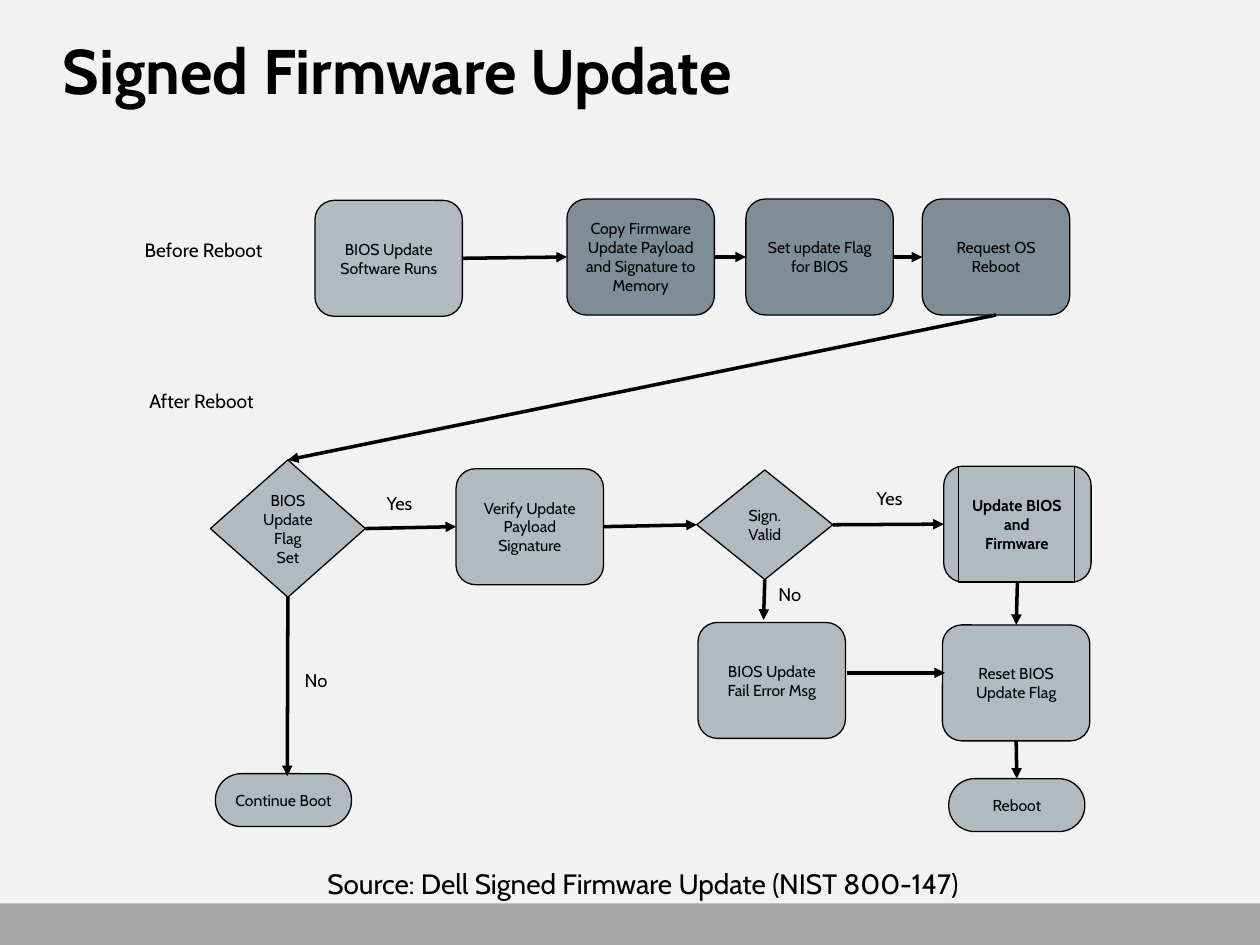
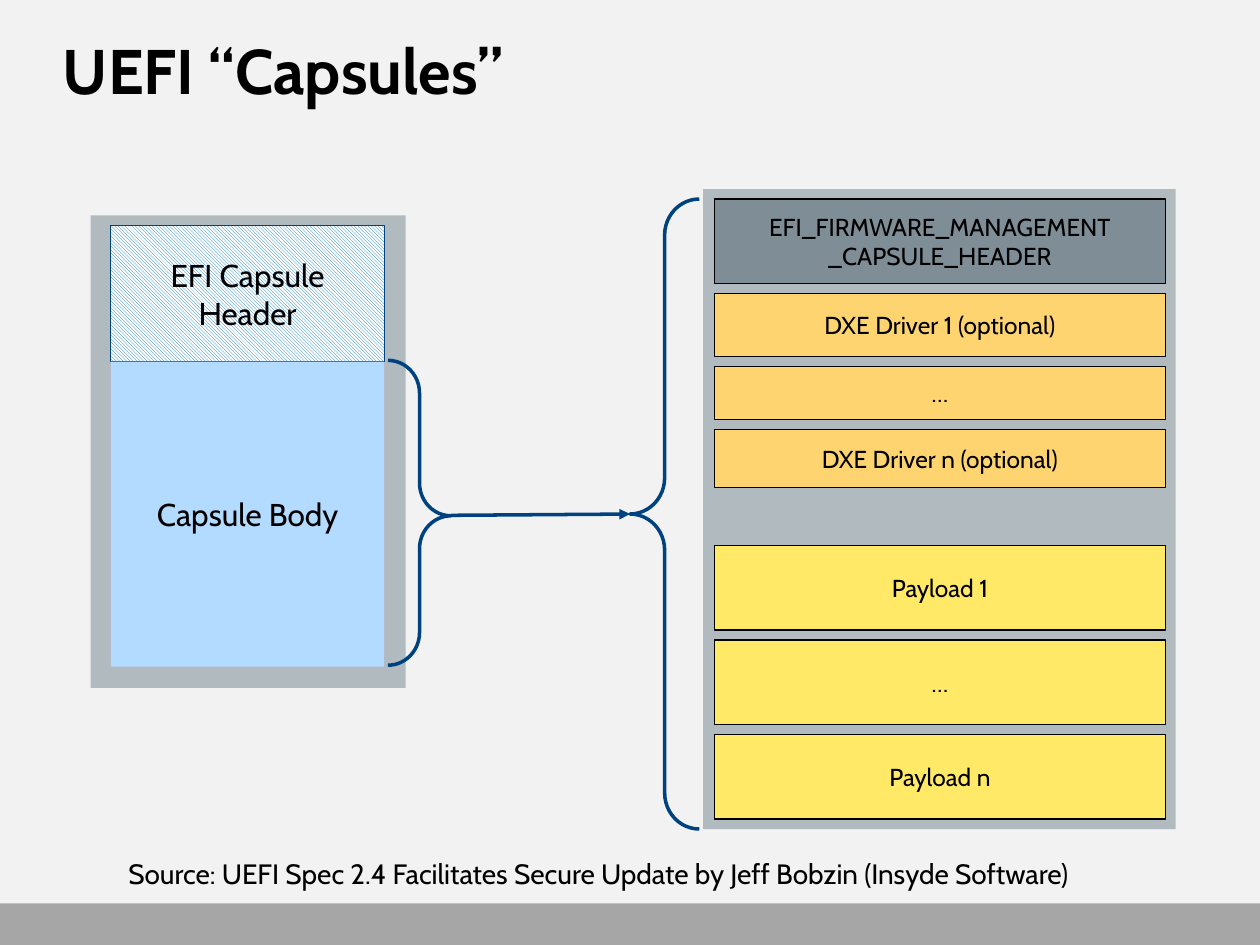
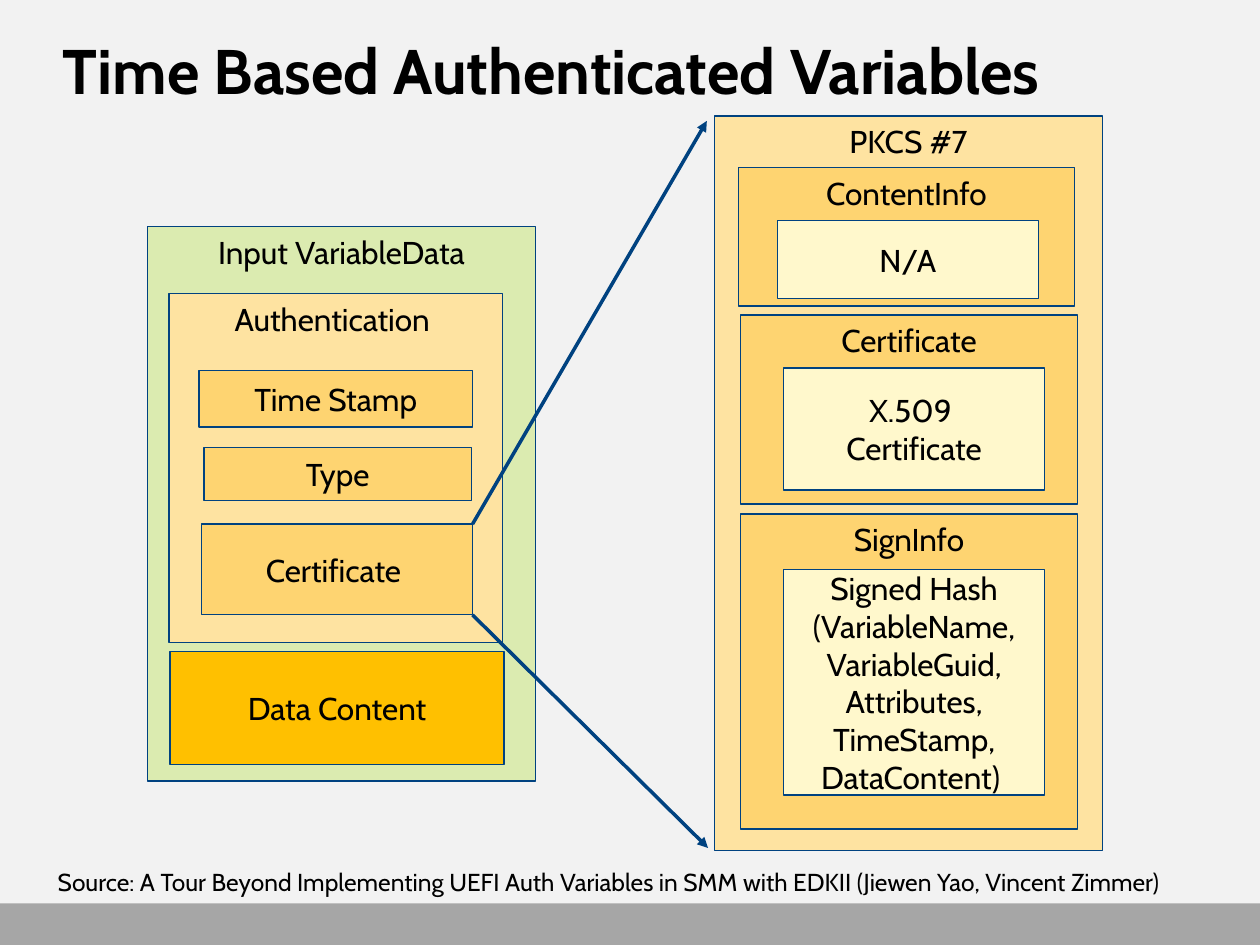
from typing import NamedTuple

from lxml import etree
from pptx import Presentation
from pptx.dml.color import RGBColor
from pptx.enum.dml import MSO_PATTERN
from pptx.enum.shapes import MSO_CONNECTOR, MSO_SHAPE
from pptx.enum.text import MSO_ANCHOR, MSO_AUTO_SIZE, PP_ALIGN
from pptx.oxml.ns import qn
from pptx.util import Inches, Pt

FONT = "Cabin"
BLACK = RGBColor(0x00, 0x00, 0x00)
WHITE = RGBColor(0xFF, 0xFF, 0xFF)
BACKGROUND = RGBColor(0xF2, 0xF2, 0xF2)
BAND = RGBColor(0xA6, 0xA6, 0xA6)
LIGHT_GREY = RGBColor(0xB1, 0xBA, 0xBF)
DARK_GREY = RGBColor(0x7E, 0x8D, 0x96)
NAVY = RGBColor(0x00, 0x42, 0x80)
BLUE = RGBColor(0x00, 0x71, 0xC5)
PALE_BLUE = RGBColor(0xB3, 0xDA, 0xFF)
GREEN = RGBColor(0xDB, 0xEB, 0xB0)
PEACH = RGBColor(0xFE, 0xE3, 0xA1)
ORANGE = RGBColor(0xFE, 0xD4, 0x71)
AMBER = RGBColor(0xFF, 0xC0, 0x00)
YELLOW = RGBColor(0xFF, 0xE9, 0x66)
CREAM = RGBColor(0xFF, 0xF8, 0xCC)

RECT = MSO_SHAPE.RECTANGLE
ROUNDED = MSO_SHAPE.ROUNDED_RECTANGLE
DECISION = MSO_SHAPE.FLOWCHART_DECISION
LEFT_BRACE = MSO_SHAPE.LEFT_BRACE
RIGHT_BRACE = MSO_SHAPE.RIGHT_BRACE
STRAIGHT = MSO_CONNECTOR.STRAIGHT
LIGHT_DIAGONAL = MSO_PATTERN.LIGHT_DOWNWARD_DIAGONAL
ANCHOR_TOP, ANCHOR_MIDDLE = MSO_ANCHOR.TOP, MSO_ANCHOR.MIDDLE
ALIGN_LEFT, ALIGN_CENTER = PP_ALIGN.LEFT, PP_ALIGN.CENTER
GROW = MSO_AUTO_SIZE.SHAPE_TO_FIT_TEXT
TOP, LEFT, BOTTOM, RIGHT = range(4)

TITLE_FRAME = dict(word_wrap=True, margin_left=0, margin_top=0,
                   margin_right=0, margin_bottom=0)
THIN, THICK = Pt(0.75), Pt(2)


class Box(NamedTuple):
    left: float
    top: float
    width: float
    height: float

    def inner(self, dx, dy, width, height):
        return Box(self.left + dx, self.top + dy, width, height)

    def point(self, dx, dy):
        return self.left + dx, self.top + dy

    def lengths(self):
        return [Inches(value) for value in self]


def set_all(target, values):
    for name, value in values.items():
        setattr(target, name, value)


def write(frame, text, size, align, bold=False):
    frame.text = text
    for paragraph in frame.paragraphs:
        paragraph.alignment = align
        set_all(paragraph.font, dict(name=FONT, size=Pt(size), bold=bold))
        paragraph.font.color.rgb = BLACK


def block(slide, box, text="", fill=None, line=None, size=18, bold=False,
          kind=RECT, anchor=ANCHOR_MIDDLE, weight=THIN):
    """Draw a preset shape; without a fill or line colour that part is empty."""
    shape = slide.shapes.add_shape(kind, *box.lengths())
    shape.shadow.inherit = False
    if fill is None:
        shape.fill.background()
    else:
        shape.fill.solid()
        shape.fill.fore_color.rgb = fill
    if line is None:
        shape.line.fill.background()
    else:
        shape.line.color.rgb = line
        shape.line.width = weight
    if text:
        set_all(shape.text_frame, dict(word_wrap=True, vertical_anchor=anchor))
        write(shape.text_frame, text, size, ALIGN_CENTER, bold)
    return shape


def label(slide, box, text, size, align=ALIGN_LEFT, wrap=True):
    frame = slide.shapes.add_textbox(*box.lengths()).text_frame
    set_all(frame, dict(word_wrap=wrap, auto_size=GROW))
    write(frame, text, size, align)


def arrow(slide, start, end, color):
    """Join two ends, each an (x, y) point or a (shape, side) pair."""
    start_joined, end_joined = (hasattr(e[0], "shape_type") for e in (start, end))
    x1, y1 = (0, 0) if start_joined else start
    x2, y2 = (0, 0) if end_joined else end
    connector = slide.shapes.add_connector(
        STRAIGHT, *map(Inches, (x1, y1, x2, y2)))
    if start_joined:
        connector.begin_connect(*start)
    if end_joined:
        connector.end_connect(*end)
    connector.line.color.rgb = color
    connector.line.width = THICK
    properties = connector.element.spPr
    etree.SubElement(properties.find(qn("a:ln")), qn("a:tailEnd"), type="triangle")
    etree.SubElement(properties, qn("a:effectLst"))


def new_slide(deck, title):
    """Add a slide with the shared background, bottom band and title."""
    slide = deck.slides.add_slide(deck.slide_layouts[6])
    slide.background.fill.solid()
    slide.background.fill.fore_color.rgb = BACKGROUND
    block(slide, Box(0, 7.17, 10, 0.33), fill=BAND)
    frame = slide.shapes.add_textbox(*Box(0.5, 0.25, 9, 1.08).lengths()).text_frame
    set_all(frame, TITLE_FRAME)
    write(frame, title, 36, ALIGN_LEFT, bold=True)
    return slide


def update_flow(slide, box):
    step, end = (1.17, 0.92), (1.08, 0.42)

    def node(text, dx, dy, size=step, fill=LIGHT_GREY, kind=ROUNDED, bold=False):
        return block(slide, box.inner(dx, dy, *size), text, fill, BLACK, 9,
                     bold, kind)

    run = node("BIOS Update Software Runs", 1.62, 0.01)
    copy_payload, set_flag, request = [
        node(text, dx, 0, fill=DARK_GREY) for text, dx in (
            ("Copy Firmware Update Payload and Signature to Memory", 3.62),
            ("Set update Flag for BIOS", 5.04),
            ("Request OS Reboot", 6.44))]
    verify = node("Verify Update Payload Signature", 2.74, 2.14)
    node("BIOS Update Fail Error Msg", 4.66, 3.36)
    reset = node("Reset BIOS Update Flag", 6.6, 3.38)
    continue_boot = node("Continue Boot", 0.83, 4.56, end)
    reboot = node("Reboot", 6.65, 4.6, end)
    for terminal in (continue_boot, reboot):
        terminal.adjustments[0] = 0.49
    update = node("", 6.61, 2.12)
    node("Update BIOS and Firmware", 6.73, 2.12, (0.92, 0.92), kind=RECT, bold=True)
    valid = node("Sign. Valid", 4.65, 2.15, (1.08, 0.87), kind=DECISION)
    flag_set = node("BIOS Update Flag Set", 0.79, 2.07, (1.23, 1.09), kind=DECISION)

    for start, finish in (
            ((run, RIGHT), (copy_payload, LEFT)),
            ((copy_payload, RIGHT), (set_flag, LEFT)),
            ((set_flag, RIGHT), (request, LEFT)),
            ((request, BOTTOM), (flag_set, TOP)),
            ((flag_set, RIGHT), (verify, LEFT)),
            ((flag_set, BOTTOM), box.point(1.4, 4.58)),
            ((verify, RIGHT), (valid, LEFT)),
            ((valid, RIGHT), (update, LEFT)),
            ((valid, BOTTOM), box.point(5.18, 3.34)),
            (box.point(5.84, 3.76), box.point(6.62, 3.76)),
            ((update, BOTTOM), (reset, TOP)),
            ((reset, BOTTOM), (reboot, TOP))):
        arrow(slide, start, finish, BLACK)

    label(slide, box.inner(0.17, 0.26, 1.44, 0.29), "Before Reboot", 11)
    label(slide, box.inner(0, 1.46, 1.44, 0.29), "After Reboot", 11, ALIGN_CENTER)
    for answer, dx, dy, width in (("Yes", 2.09, 2.28, 0.46), ("Yes", 5.98, 2.24, 0.46),
                                  ("No", 1.44, 3.68, 0.39), ("No", 5.2, 3, 0.39)):
        label(slide, box.inner(dx, dy, width, 0.28), answer, 10.5, wrap=False)


def capsule(slide, box):
    block(slide, box, fill=LIGHT_GREY)
    header = block(slide, box.inner(0.16, 0.08, 2.17, 1.08),
                   "EFI Capsule Header", WHITE, NAVY)
    header.fill.patterned()
    header.fill.pattern = LIGHT_DIAGONAL
    header.fill.fore_color.rgb = BLUE
    header.fill.back_color.rgb = WHITE
    block(slide, box.inner(0.16, 1.16, 2.17, 2.42), "Capsule Body", PALE_BLUE)


def capsule_content(slide, box):
    """Draw the stacks of drivers and payloads inside a grey frame."""
    block(slide, box, fill=LIGHT_GREY)
    gap = 0.08
    driver_stack = (
        ("EFI_FIRMWARE_MANAGEMENT\n_CAPSULE_HEADER", DARK_GREY, 0.67),
        ("DXE Driver 1 (optional)", ORANGE, 0.5),
        ("…", ORANGE, 0.42),
        ("DXE Driver n (optional)", ORANGE, 0.46))
    payload_stack = (
        ("Payload 1", YELLOW, 0.67), ("…", YELLOW, 0.67), ("Payload n", YELLOW, 0.67))
    for dy, stack in ((gap, driver_stack), (2.83, payload_stack)):
        for text, fill, height in stack:
            block(slide, box.inner(0.09, dy, 3.58, height), text, fill, BLACK, 14)
            dy += height + gap


def brace(slide, box, kind, middle):
    shape = block(slide, box, line=NAVY, kind=kind, weight=THICK)
    shape.adjustments[0] = 0.52
    shape.adjustments[1] = middle


def nested_blocks(slide, box, title, fill, parts):
    """Draw a titled panel and its parts: text, fill, anchor and inner box."""
    block(slide, box, title, fill, NAVY, anchor=ANCHOR_TOP)
    return [block(slide, box.inner(*place), text, part_fill, NAVY, anchor=anchor)
            for text, part_fill, anchor, place in parts]


def variable_data(slide, box):
    nested_blocks(slide, box, "Input VariableData", GREEN, (
        ("Authentication ", PEACH, ANCHOR_TOP, (0.17, 0.53, 2.65, 2.77)),
        ("Time Stamp", ORANGE, ANCHOR_MIDDLE, (0.41, 1.14, 2.17, 0.45)),
        ("Type", ORANGE, ANCHOR_MIDDLE, (0.45, 1.75, 2.12, 0.42)),
        ("Certificate ", ORANGE, ANCHOR_MIDDLE, (0.43, 2.36, 2.15, 0.72)),
        ("Data Content", AMBER, ANCHOR_MIDDLE, (0.18, 3.37, 2.65, 0.9))))


def pkcs_structure(slide, box):
    signed_hash = ("Signed Hash\n(VariableName, VariableGuid, Attributes, "
                   "TimeStamp, DataContent) ")
    nested_blocks(slide, box, "PKCS #7", PEACH, (
        ("ContentInfo", ORANGE, ANCHOR_TOP, (0.19, 0.41, 2.67, 1.1)),
        ("N/A", CREAM, ANCHOR_MIDDLE, (0.5, 0.83, 2.07, 0.62)),
        ("Certificate", ORANGE, ANCHOR_TOP, (0.21, 1.58, 2.67, 1.5)),
        ("X.509 \nCertificate", CREAM, ANCHOR_MIDDLE, (0.55, 2, 2.07, 0.97)),
        ("SignInfo", ORANGE, ANCHOR_TOP, (0.21, 3.16, 2.67, 2.5)),
        (signed_hash, CREAM, ANCHOR_MIDDLE, (0.55, 3.6, 2.07, 1.79))))


def main():
    deck = Presentation()
    deck.slide_width, deck.slide_height = Inches(10), Inches(7.5)

    firmware = new_slide(deck, "Signed Firmware Update")
    label(firmware, Box(2.5, 6.83, 5.57, 0.37),
          "Source: Dell Signed Firmware Update (NIST 800-147)", 16, wrap=False)
    update_flow(firmware, Box(0.88, 1.58, 7.78, 5.02))

    capsules = new_slide(deck, "UEFI “Capsules”")
    label(capsules, Box(0.92, 6.75, 8.83, 0.37),
          "Source: UEFI Spec 2.4 Facilitates Secure Update by Jeff Bobzin "
          "(Insyde Software)", 16)
    capsule(capsules, Box(0.72, 1.71, 2.5, 3.75))
    capsule_content(capsules, Box(5.58, 1.5, 3.75, 5.08))
    brace(capsules, Box(3.08, 2.86, 0.5, 2.42), RIGHT_BRACE, 0.51)
    brace(capsules, Box(5, 1.58, 0.55, 5), LEFT_BRACE, 0.5)
    arrow(capsules, (3.58, 4.09), (5, 4.08), NAVY)

    variables = new_slide(deck, "Time Based Authenticated Variables")
    label(variables, Box(0.36, 6.83, 9.64, 0.34),
          "Source: A Tour Beyond Implementing UEFI Auth Variables in SMM with "
          "EDKII (Jiewen Yao, Vincent Zimmer)", 14)
    variable_data(variables, Box(1.17, 1.8, 3.08, 4.4))
    pkcs_structure(variables, Box(5.67, 0.92, 3.08, 5.83))
    arrow(variables, (3.75, 4.16), (5.61, 0.96), NAVY)
    arrow(variables, (3.75, 4.88), (5.62, 6.73), NAVY)

    deck.save("out.pptx")


if __name__ == "__main__":
    main()
